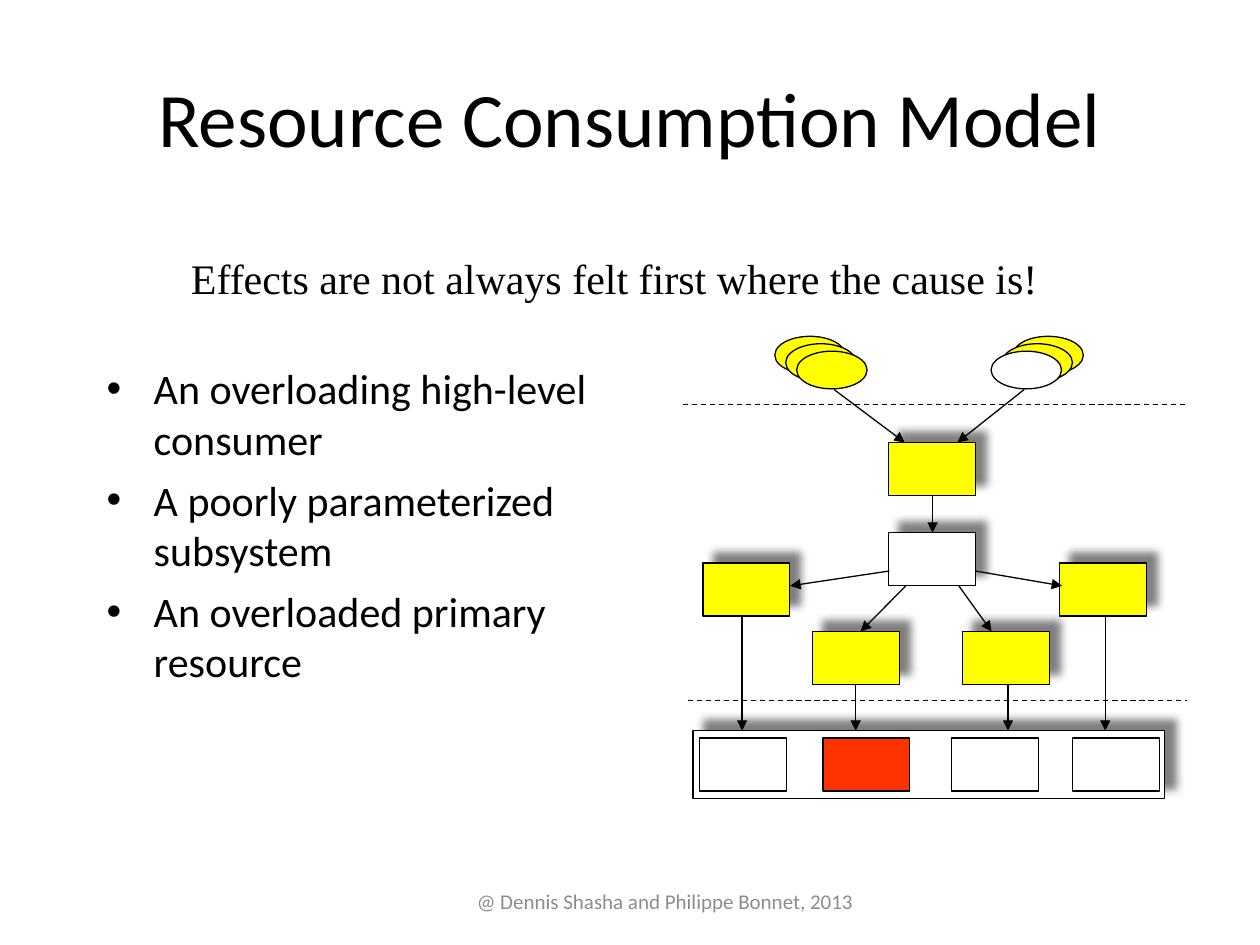
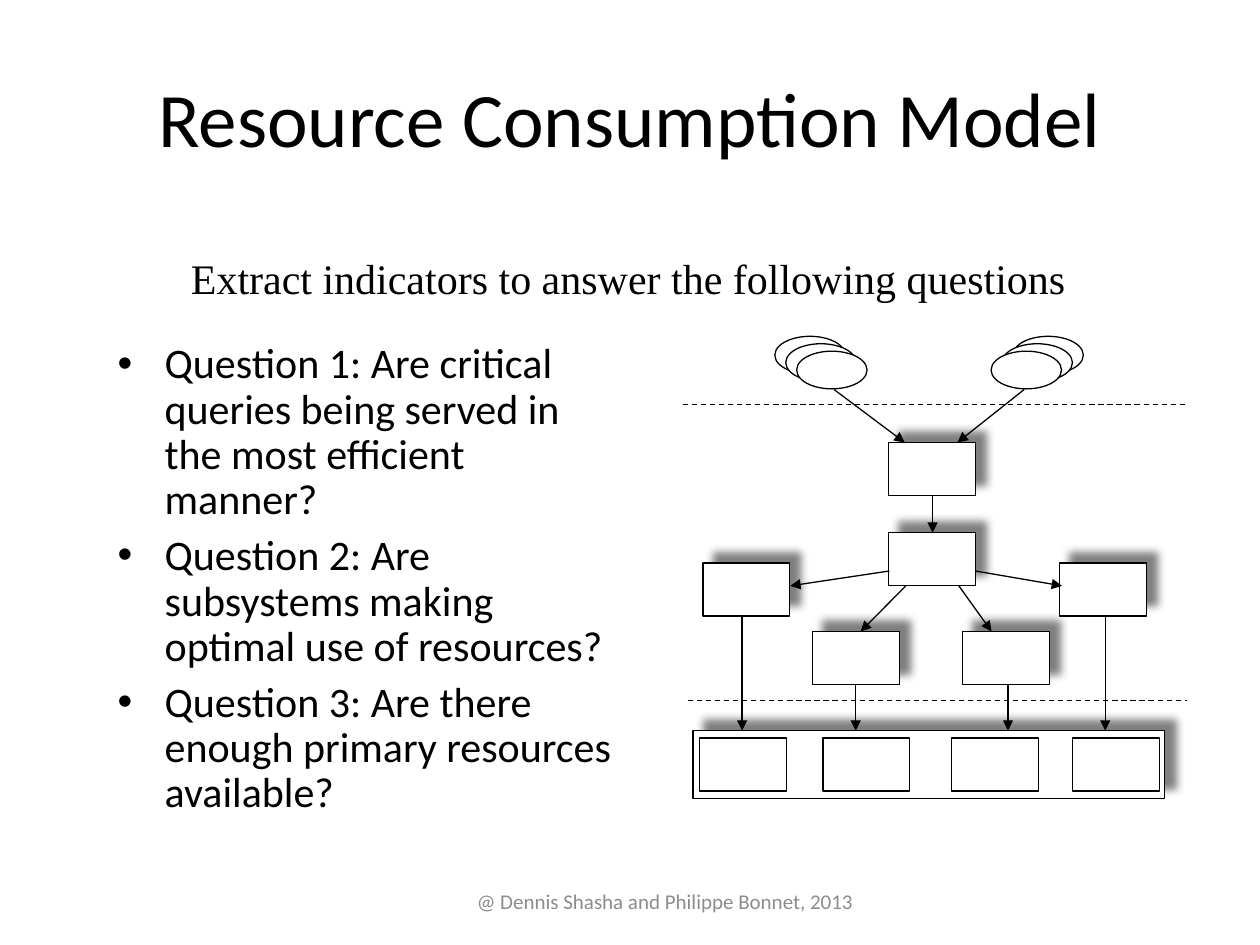
import dataclasses

import pptx
import pptx.dml.color
import pptx.enum.dml
import pptx.enum.shapes
import pptx.enum.text
import pptx.oxml
import pptx.oxml.ns
import pptx.util

Cm, Pt = pptx.util.Cm, pptx.util.Pt
ALIGN = pptx.enum.text.PP_ALIGN
ANCHOR = pptx.enum.text.MSO_ANCHOR
SHAPE = pptx.enum.shapes.MSO_SHAPE


@dataclasses.dataclass(frozen=True)
class Theme:
    ink: str = "000000"
    muted: str = "8C8C8C"
    shade: str = "808080"
    idle: str = "FFFFFF"
    busy: str = "FFFF00"
    overloaded: str = "FF3300"
    sans: str = "Calibri"
    serif: str = "Times New Roman"
    title_size: float = 44
    body_size: float = 24
    footer_size: float = 12
    line_width: float = 0.75


# Wording
TITLE = "Resource Consumption Model"
FOOTER = "@ Dennis Shasha and Philippe Bonnet, 2013 "

# Geometry of the model, in centimetres
CONSUMER_SIZE = (1.42, 0.76)
CONSUMER_TOP = 6.78
CONSUMER_STEP = (0.22, 0.15)
CONSUMER_STACKS = {"left": (15.62, 1), "right": (20.42, -1)}
BOX_SIZE = (1.75, 1.07)
SUBSYSTEMS = {
    "entry": (17.91, 8.92),
    "hub": (17.91, 10.74),
    "far left": (14.17, 11.35),
    "near left": (16.38, 12.73),
    "near right": (19.41, 12.73),
    "far right": (21.36, 11.35),
}
RESOURCE_BAR = (13.97, 14.73, 9.5, 1.37)
RESOURCE_TOP = 14.88
RESOURCE_LEFTS = (14.1, 16.59, 19.18, 21.62)
REQUESTS = (
    (20.65, 7.85, 19.3, 8.92), (16.81, 7.85, 18.24, 8.92),
    (18.8, 9.98, 18.8, 10.74),
    (17.93, 11.51, 15.93, 11.81), (19.66, 11.51, 21.41, 11.81),
    (18.26, 11.81, 17.35, 12.73), (19.33, 11.81, 19.99, 12.73),
)
# Vertical arrows down to the resources: x and start
RESOURCE_REQUESTS = ((14.96, 12.42), (17.25, 13.79), (20.32, 13.79), (22.28, 12.42))
LAYER_BORDERS = ((13.77, 8.15, 23.93, 8.15), (13.87, 14.12, 23.93, 14.12))


def apply(target, values):
    for name, value in values.items():
        setattr(target, name, value)


def rgb(code):
    return pptx.dml.color.RGBColor.from_string(code)


def add_xml(parent, xml):
    declared = xml.replace(" ", f" {pptx.oxml.ns.nsdecls('a')} ", 1)
    parent.append(pptx.oxml.parse_xml(declared))


class Deck:
    def __init__(self, theme):
        self.theme = theme
        self.presentation = pptx.Presentation()
        apply(self.presentation, {"slide_width": Cm(25.4), "slide_height": Cm(19.05)})
        self.slide = None
        self.canvas = None

    def new_slide(self):
        layout = self.presentation.slide_layouts[6]
        self.slide = self.presentation.slides.add_slide(layout)

    def start_group(self):
        self.canvas = self.slide.shapes.add_group_shape().shapes

    def text(self, place, lines, size, font=None, color=None, wrap=True,
             anchor=ANCHOR.TOP, bullets=False, **paragraph_format):
        box = self.slide.shapes.add_textbox(*map(Cm, place))
        frame = box.text_frame
        apply(frame, {"word_wrap": wrap, "vertical_anchor": anchor})
        for index, line in enumerate(lines):
            paragraph = frame.paragraphs[0] if index == 0 else frame.add_paragraph()
            paragraph.text = line
            apply(paragraph, paragraph_format)
            apply(paragraph.font, {"size": Pt(size), "name": font or self.theme.sans})
            paragraph.font.color.rgb = rgb(color or self.theme.ink)
            for run in paragraph.runs:
                apply(run.font, {"size": Pt(size), "name": font or self.theme.sans})
                run.font.color.rgb = rgb(color or self.theme.ink)
            if bullets:
                properties = paragraph._p.get_or_add_pPr()
                properties.set("marL", str(Cm(0.95)))
                properties.set("indent", str(-Cm(0.95)))
                add_xml(properties, '<a:buFont typeface="Arial"/>')
                add_xml(properties, '<a:buChar char="•"/>')

    def outline(self, line):
        line.color.rgb = rgb(self.theme.ink)
        line.width = Pt(self.theme.line_width)

    def node(self, kind, place, fill, shadow=False):
        node = self.canvas.add_shape(kind, *map(Cm, place))
        node.fill.solid()
        node.fill.fore_color.rgb = rgb(fill)
        self.outline(node.line)
        node.shadow.inherit = False
        if shadow:
            effects = node.element.spPr.find(pptx.oxml.ns.qn("a:effectLst"))
            add_xml(effects, f'<a:outerShdw blurRad="{Pt(5)}" dist="{Pt(8.5)}" '
                             'dir="18900000" algn="ctr" rotWithShape="0">'
                             f'<a:srgbClr val="{self.theme.shade}"/></a:outerShdw>')

    def line(self, ends, arrow=True):
        link = self.canvas.add_connector(
            pptx.enum.shapes.MSO_CONNECTOR.STRAIGHT, *map(Cm, ends))
        self.outline(link.line)
        if arrow:
            add_xml(link.line._get_or_add_ln(), '<a:tailEnd type="triangle"/>')
        else:
            link.line.dash_style = pptx.enum.dml.MSO_LINE.DASH
        add_xml(link.element.spPr, "<a:effectLst />")

    def frame(self):
        centred = {"anchor": ANCHOR.MIDDLE, "alignment": ALIGN.CENTER}
        self.text((1.27, 0.76, 22.86, 3.18), [TITLE], self.theme.title_size, **centred)
        self.text((8.69, 17.65, 9.53, 1.02), [FOOTER], self.theme.footer_size,
                  color=self.theme.muted, **centred)

    def statement(self, wording, width):
        self.text((3.6, 5.08, width, 2.41), [wording], self.theme.body_size,
                  font=self.theme.serif, wrap=False, line_spacing=0.9,
                  space_before=Pt(6))

    def points(self, place, wording, line_spacing):
        self.text(place, wording, self.theme.body_size, bullets=True,
                  line_spacing=line_spacing, space_before=Pt(6))

    def model(self, busy_consumers, busy_subsystems=(), overloaded_resource=None):
        theme = self.theme
        self.start_group()

        # Subsystems and the bar that holds the resources
        self.node(SHAPE.RECTANGLE, RESOURCE_BAR, theme.idle, shadow=True)
        for name, corner in SUBSYSTEMS.items():
            fill = theme.busy if name in busy_subsystems else theme.idle
            self.node(SHAPE.RECTANGLE, corner + BOX_SIZE, fill, shadow=True)

        # Primary resources
        for index, left in enumerate(RESOURCE_LEFTS):
            fill = theme.overloaded if index == overloaded_resource else theme.idle
            self.node(SHAPE.RECTANGLE, (left, RESOURCE_TOP) + BOX_SIZE, fill)

        # Stacks of high-level consumers
        step_x, step_y = CONSUMER_STEP
        for side, (left, direction) in CONSUMER_STACKS.items():
            for depth in range(3):
                corner = (left + direction * depth * step_x,
                          CONSUMER_TOP + depth * step_y)
                fill = theme.busy if depth < busy_consumers[side] else theme.idle
                self.node(SHAPE.OVAL, corner + CONSUMER_SIZE, fill)

        # Requests and layer borders
        bar_top = RESOURCE_BAR[1]
        for ends in REQUESTS:
            self.line(ends)
        for x, start in RESOURCE_REQUESTS:
            self.line((x, start, x, bar_top))
        for ends in LAYER_BORDERS:
            self.line(ends, arrow=False)


def main():
    deck = Deck(Theme())

    # Slide 1: causes and effects
    deck.new_slide()
    deck.frame()
    deck.points((1.9, 7.19, 10.59, 9.73), [
        "An overloading high-level consumer",
        "A poorly parameterized subsystem",
        "An overloaded primary resource",
    ], line_spacing=1.0)
    deck.model({"left": 3, "right": 2}, set(SUBSYSTEMS) - {"hub"},
               overloaded_resource=1)
    deck.statement("Effects are not always felt first where the cause is!", 17.58)

    # Slide 2: questions for the indicators
    deck.new_slide()
    deck.frame()
    deck.points((2.12, 6.78, 10.59, 10.03), [
        "Question 1: Are critical queries being served in \vthe most efficient manner?",
        "Question 2: Are subsystems making optimal use of resources?",
        "Question 3: Are there enough primary resources available?",
    ], line_spacing=0.9)
    deck.model({"left": 0, "right": 0})
    deck.statement("Extract indicators to answer the following questions", 18.14)

    deck.presentation.save("out.pptx")


if __name__ == "__main__":
    main()
